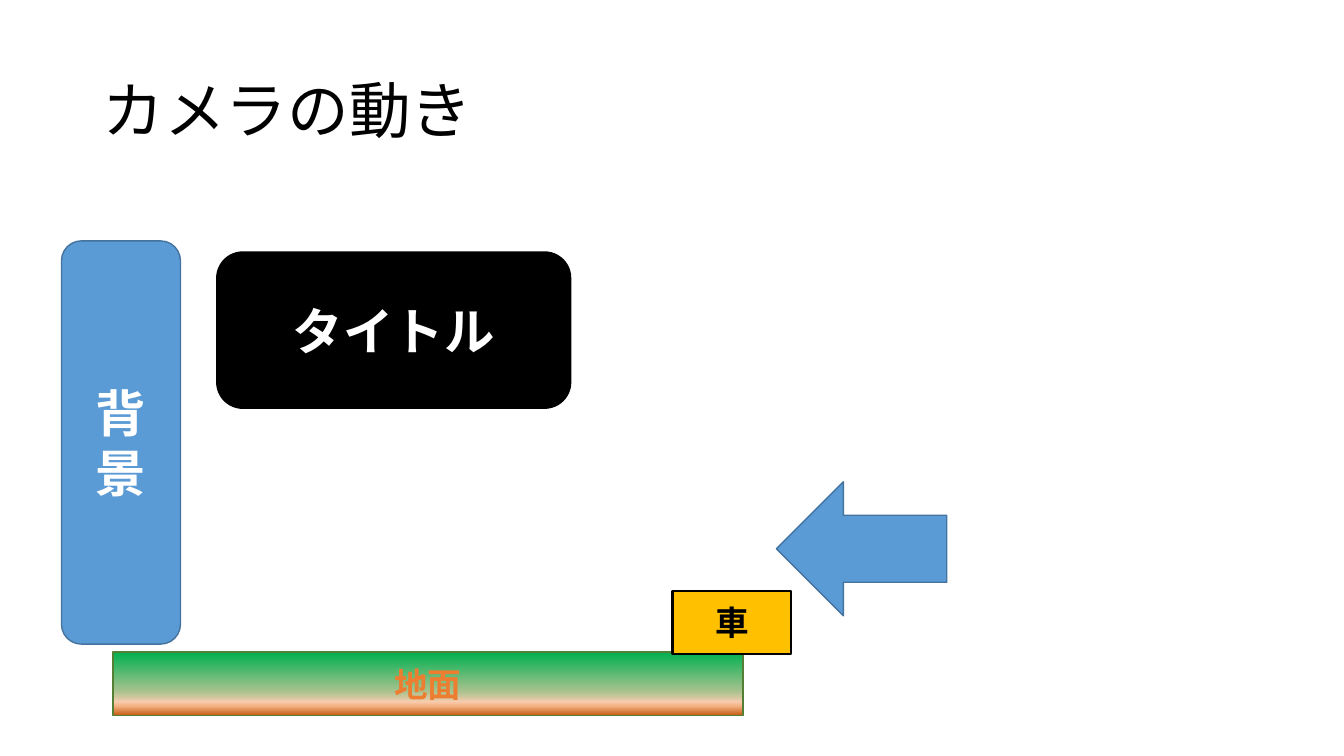
from copy import deepcopy
from dataclasses import dataclass

from lxml.etree import SubElement
from pptx import Presentation
from pptx.dml.color import RGBColor
from pptx.dml.fill import FillFormat
from pptx.enum.shapes import MSO_SHAPE
from pptx.enum.text import MSO_ANCHOR, PP_ALIGN
from pptx.oxml.ns import qn
from pptx.shapes.base import BaseShape
from pptx.slide import Slide
from pptx.util import Emu, Pt

PX = 9144  # EMU per px, 100 px to the inch


@dataclass(frozen=True)
class Theme:
    font: str = "Noto Sans CJK JP"
    black: str = "000000"
    white: str = "FFFFFF"
    blue: str = "5B9BD5"
    dark_blue: str = "43739E"
    orange: str = "ED7D31"
    yellow: str = "FFC000"
    dark_green: str = "538035"
    ground: tuple[tuple[int, str], ...] = (
        (0, "00B050"), (62, "A9C28F"), (73, "DAC8A2"),
        (78, "F8CBAD"), (85, "F4B183"), (100, "C55A11"),
    )
    title_size: int = 44
    large_size: int = 36
    small_size: int = 24


THEME = Theme()


@dataclass(frozen=True)
class Block:
    kind: MSO_SHAPE
    box: tuple[int, int, int, int]
    fill: str | tuple[tuple[int, str], ...]
    line: str
    line_width: float = 1
    label: str = ""
    size: int = THEME.large_size
    color: str = THEME.white


# Stage elements, from back to front
BLOCKS = (
    Block(MSO_SHAPE.LEFT_ARROW, (770, 478, 169, 133), THEME.blue, THEME.dark_blue),
    Block(MSO_SHAPE.ROUNDED_RECTANGLE, (215, 250, 351, 155), THEME.black, THEME.black,
          label="タイトル"),
    Block(MSO_SHAPE.ROUNDED_RECTANGLE, (61, 239, 118, 400), THEME.blue, THEME.dark_blue,
          label="背景"),
    Block(MSO_SHAPE.RECTANGLE, (112, 647, 625, 63), THEME.ground, THEME.dark_green,
          label="地面", size=THEME.small_size, color=THEME.orange),
    Block(MSO_SHAPE.RECTANGLE, (667, 586, 118, 63), THEME.yellow, THEME.black, 1.5,
          label="車", size=THEME.small_size, color=THEME.black),
)


def to_emu(box: tuple[int, int, int, int]) -> list[Emu]:
    return [Emu(length * PX) for length in box]


def write_text(shape: BaseShape, text: str, *, size: int, color: str, bold: bool = False,
               align: PP_ALIGN = PP_ALIGN.CENTER, line_spacing: float = 1.0) -> None:
    frame = shape.text_frame
    frame.word_wrap = True
    frame.vertical_anchor = MSO_ANCHOR.MIDDLE
    paragraph = frame.paragraphs[0]
    paragraph.alignment = align
    paragraph.line_spacing = line_spacing
    run = paragraph.add_run()
    run.text = text
    run.font.size = Pt(size)
    run.font.bold = bold
    run.font.color.rgb = RGBColor.from_string(color)
    run.font.name = THEME.font
    # East Asian glyphs take their own typeface element
    SubElement(run._r.get_or_add_rPr(), qn("a:ea"), typeface=THEME.font)


def apply_gradient(fill: FillFormat, stops: tuple[tuple[int, str], ...]) -> None:
    fill.gradient()
    fill.gradient_angle = 270  # counter-clockwise, so top to bottom
    stop_list = fill._xPr.find(qn("a:gradFill")).find(qn("a:gsLst"))
    while len(stop_list) < len(stops):
        stop_list.append(deepcopy(stop_list[0]))
    for stop, (percent, color) in zip(fill.gradient_stops, stops):
        stop.position = percent / 100
        stop.color.rgb = RGBColor.from_string(color)


def draw_block(slide: Slide, block: Block) -> None:
    shape = slide.shapes.add_shape(block.kind, *to_emu(block.box))
    shape.shadow.inherit = False
    if isinstance(block.fill, str):
        shape.fill.solid()
        shape.fill.fore_color.rgb = RGBColor.from_string(block.fill)
    else:
        apply_gradient(shape.fill, block.fill)
    shape.line.color.rgb = RGBColor.from_string(block.line)
    shape.line.width = Pt(block.line_width)
    if block.label:
        write_text(shape, block.label, size=block.size, color=block.color, bold=True)


def main() -> None:
    presentation = Presentation()
    presentation.slide_width = Emu(1333 * PX)
    presentation.slide_height = Emu(750 * PX)
    slide = presentation.slides.add_slide(presentation.slide_layouts[6])

    # Heading
    heading = slide.shapes.add_textbox(*to_emu((92, 40, 1150, 145)))
    write_text(heading, "カメラの動き", size=THEME.title_size, color=THEME.black,
               align=PP_ALIGN.LEFT, line_spacing=0.9)

    # Stage
    for block in BLOCKS:
        draw_block(slide, block)

    presentation.save("out.pptx")


if __name__ == "__main__":
    main()
